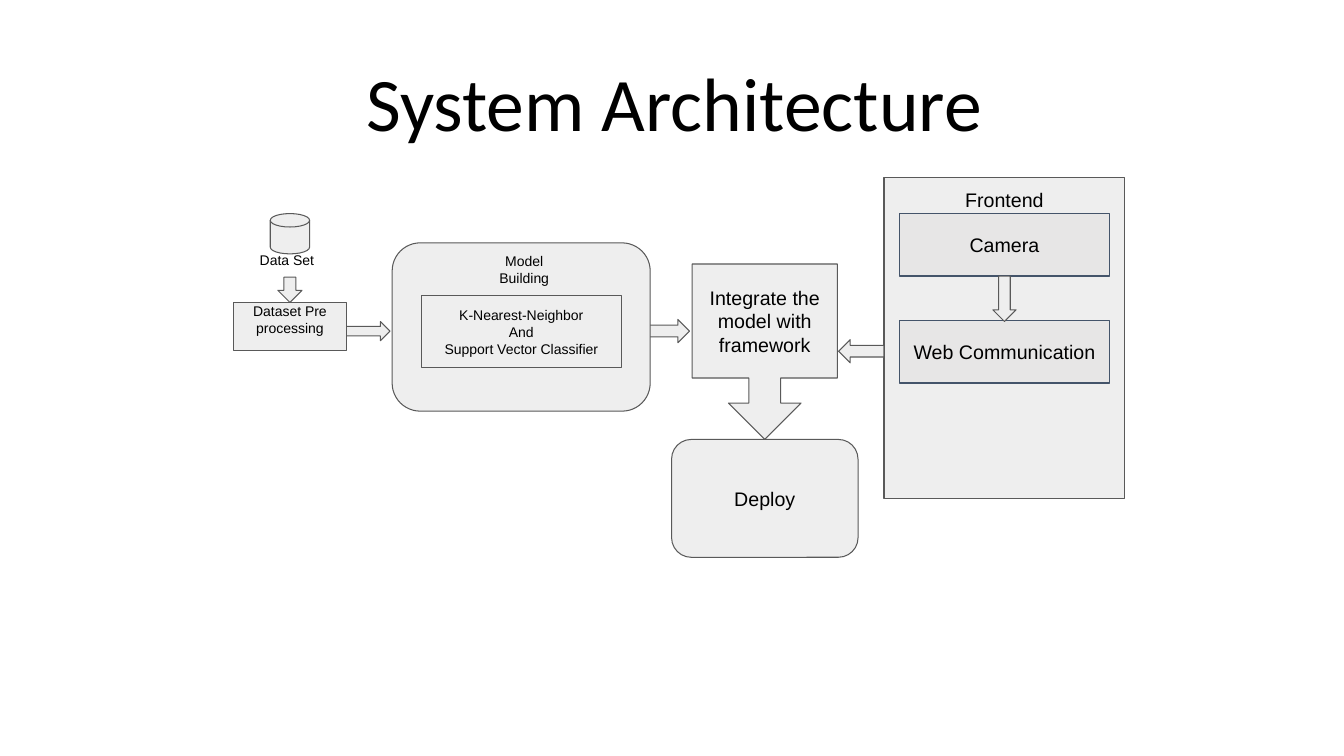
from pptx import Presentation
from pptx.dml.color import RGBColor
from pptx.enum.shapes import MSO_SHAPE
from pptx.enum.text import MSO_ANCHOR, PP_ALIGN
from pptx.util import Pt

TITLE = "System Architecture"
DATA, MODEL, DEPLOY, FRONTEND = 207.1, 372.3, 546.3, 717.5
GREY, EDGE = "EEEEEE", "595959"
PANEL, PANEL_EDGE = "E7E6E6", "44546A"
MIDDLE, TOP = MSO_ANCHOR.MIDDLE, MSO_ANCHOR.TOP
ARROW_LENGTH, ARROW_WIDTH = 32.4, 16.6

SHAPES = [
    ("RIGHT_ARROW", 262.4, 229.7, ARROW_LENGTH, 13.7, {}),
    ("RIGHT_ARROW", 476.3, 228.2, ARROW_LENGTH, ARROW_WIDTH, {}),
    ("FLOWCHART_MAGNETIC_DISK", DATA, 152.6, 28.1, 28.8, {}),
    ("TEXT", 204.9, 173.5, 58.3, 38.9, {"lines": ["Data Set"], "anchor": TOP}),
    ("DOWN_ARROW", DATA, 198, 17.3, 18, {}),
    ("RECTANGLE", DATA, 216, 80.6, 34.6,
     {"lines": ["Dataset Pre processing"], "anchor": TOP, "inset": 0}),
    ("ROUNDED_RECTANGLE", MODEL, 173.5, 184.3, 120.2, {}),
    ("TEXT", 374.4, 173.5, 77.8, 38.9, {"lines": ["Model Building"], "anchor": TOP}),
    ("RECTANGLE", MODEL, 211, 142.6, 51.8,
     {"lines": ["K-Nearest-Neighbor", "And", "Support Vector Classifier"]}),
    ("DOWN_ARROW_CALLOUT", DEPLOY, 188.6, 103.7, 125.3,
     {"lines": ["Integrate the model with framework"], "size": 14,
      "adjust": [0.22, 0.25, 0.25, 0.65]}),
    ("RECTANGLE", FRONTEND, 126.7, 172.1, 229.7,
     {"lines": ["Frontend"], "size": 14, "anchor": TOP}),
    ("ROUNDED_RECTANGLE", DEPLOY, 313.9, 133.2, 84.2, {"lines": ["Deploy"], "size": 14}),
    ("LEFT_ARROW", 615.2, 242.6, ARROW_LENGTH, ARROW_WIDTH, {}),
]
PANELS = ["Camera", "Web Communication"]
PANEL_TOP, PANEL_STEP, PANEL_WIDTH, PANEL_HEIGHT = 152.6, 76.4, 149.8, 44.6
for index, name in enumerate(PANELS):
    SHAPES.append(("RECTANGLE", FRONTEND, PANEL_TOP + index * PANEL_STEP, PANEL_WIDTH,
                   PANEL_HEIGHT, {"lines": [name], "size": 14,
                                  "fill": PANEL, "edge": PANEL_EDGE}))
SHAPES.append(("DOWN_ARROW", FRONTEND, PANEL_TOP + PANEL_HEIGHT, ARROW_WIDTH,
               ARROW_LENGTH, {}))


def colour(value):
    return RGBColor.from_string(value)


def apply(target, values):
    for name, value in values.items():
        setattr(target, name, value)


def write(box, lines, size, font, frame_format, spacing=1.0):
    frame = box.text_frame
    apply(frame, {"word_wrap": True, **frame_format})
    frame.text = "\n".join(lines)
    for para in frame.paragraphs:
        apply(para, {"alignment": PP_ALIGN.CENTER, "line_spacing": spacing})
        for span in para.runs:
            apply(span.font, {"name": font, "size": Pt(size)})
            span.font.color.rgb = colour("000000")


def draw(page, kind, centre, top, width, height, style):
    place = [Pt(value) for value in (centre - width / 2, top, width, height)]
    if kind == "TEXT":
        box = page.shapes.add_textbox(*place)
    else:
        box = page.shapes.add_shape(getattr(MSO_SHAPE, kind), *place)
        box.shadow.inherit = False
        box.fill.solid()
        box.fill.fore_color.rgb = colour(style.get("fill", GREY))
        box.line.color.rgb = colour(style.get("edge", EDGE))
        box.line.width = Pt(0.75)
        for index, value in enumerate(style.get("adjust", [])):
            box.adjustments[index] = value
    if "lines" in style:
        inset = Pt(style.get("inset", 7.2))
        write(box, style["lines"], style.get("size", 10), "Arial", {
            "vertical_anchor": style.get("anchor", MIDDLE),
            "margin_left": Pt(7.2), "margin_right": Pt(7.2),
            "margin_top": inset, "margin_bottom": inset})


deck = Presentation()
apply(deck, {"slide_width": Pt(960), "slide_height": Pt(540)})
page = deck.slides.add_slide(deck.slide_layouts[5])
title = page.shapes.title
apply(title, {"left": Pt(121.7), "top": Pt(40.3), "width": Pt(720), "height": Pt(69.1)})
write(title, [TITLE], 54, "Calibri", {"vertical_anchor": MSO_ANCHOR.BOTTOM}, 0.9)
for shape in SHAPES:
    draw(page, *shape)
deck.save("out.pptx")
